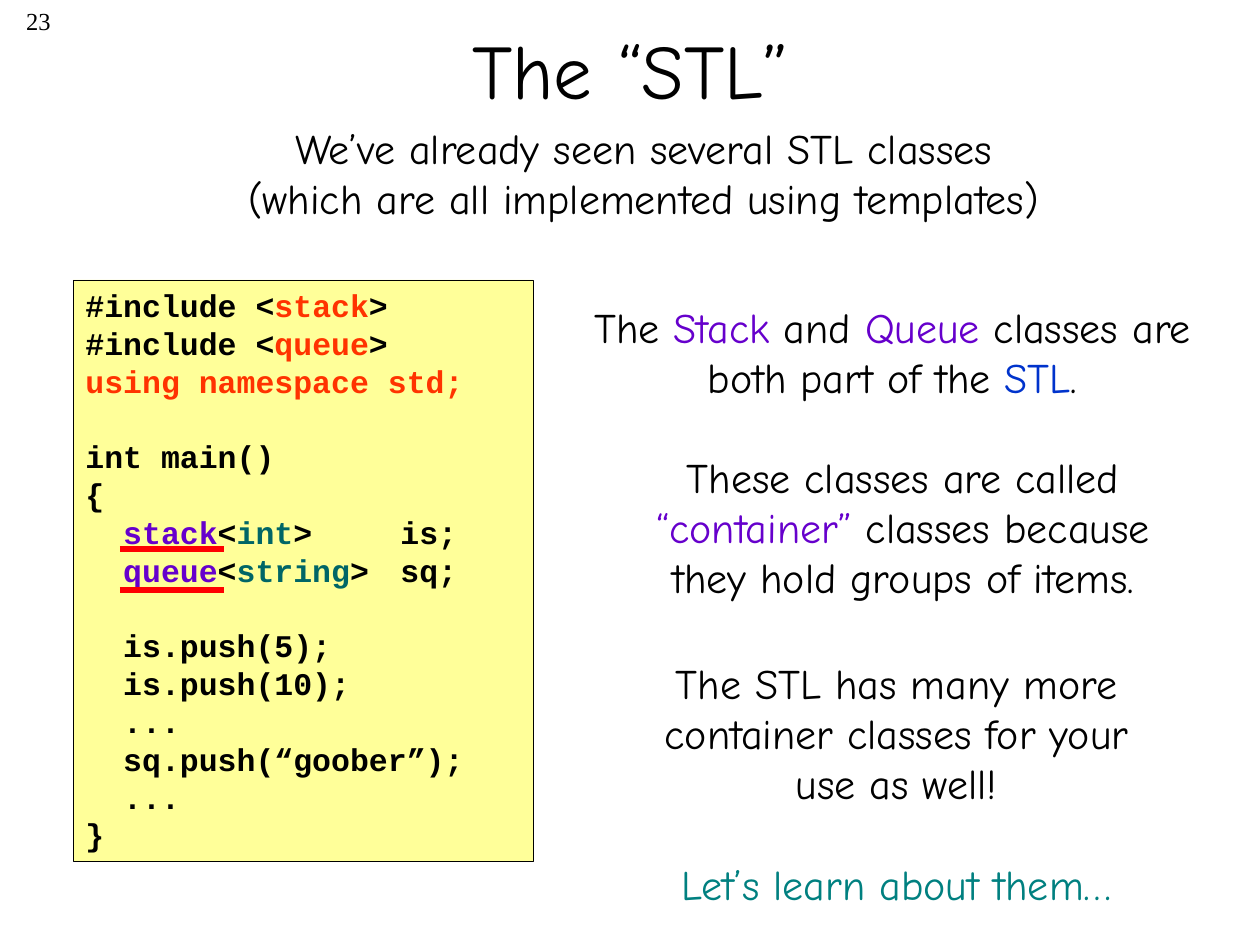
from pptx import Presentation
from pptx.dml.color import RGBColor
from pptx.enum.shapes import MSO_CONNECTOR, MSO_SHAPE
from pptx.enum.text import MSO_ANCHOR, PP_ALIGN
from pptx.oxml.ns import qn
from pptx.util import Emu, Pt
from lxml import etree

LEFT, CENTER, RIGHT = PP_ALIGN.LEFT, PP_ALIGN.CENTER, PP_ALIGN.RIGHT
TOP, MIDDLE = MSO_ANCHOR.TOP, MSO_ANCHOR.MIDDLE
RECTANGLE, STRAIGHT = MSO_SHAPE.RECTANGLE, MSO_CONNECTOR.STRAIGHT

BODY_FONT, CODE_FONT, NUMBER_FONT = "Comic Neue", "Courier New", "Times New Roman"
BLACK, RED, ORANGE, YELLOW = "000000", "FF0000", "FF3300", "FFFF99"
PURPLE, TEAL, GREEN, BLUE = "6600CC", "008080", "006666", "0033CC"
LINE_RATIO = 1.2

HEADING = [
    ["We’ve already seen several STL classes"],
    ["(which are all implemented using templates)"],
]
CODE = [
    ["#include <", ("stack", ORANGE), ">"],
    ["#include <", ("queue", ORANGE), ">"],
    [("using namespace std;", ORANGE)],
    ["int main()"],
    ["{"],
    ["  ", ("stack", PURPLE), "<", ("int", GREEN), ">\t\tis;"],
    ["  ", ("queue", PURPLE), "<", ("string", GREEN), ">\tsq;"],
    ["  is.push(5);"],
    ["  is.push(10);"],
    ["  ..."],
    ["  sq.push(“goober”);"],
    ["  ..."],
    ["}"],
]
CODE_GAPS = (3, 7)
MEMBERS = [["The ", ("Stack", PURPLE), " and ", ("Queue", PURPLE),
            " classes are both part of the ", ("STL", BLUE), "."]]
CONTAINERS = [["These classes are called ", ("“container”", PURPLE),
               " classes because they hold groups of items."]]
MORE = [
    ["The STL has many more container classes for your use as well!"],
    [("Let’s learn about them…", TEAL)],
]


def px(length):
    """Turn pixels into EMU."""
    return Emu(round(length * 914400 / 126))


def color(value):
    """Turn a hex string into a colour."""
    return RGBColor.from_string(value)


def place(shape, area):
    """Set the left, top, width and height of a shape."""
    shape.left, shape.top, shape.width, shape.height = map(px, area)


def write(shape, lines, size, font=BODY_FONT, align=CENTER, anchor=TOP,
          wrap=True, bold=False, gaps=()):
    """Fill a shape with lines of runs, one line of space before each gap."""
    frame = shape.text_frame
    frame.word_wrap = wrap
    frame.vertical_anchor = anchor
    pitch = Pt(size * LINE_RATIO)
    for index, line in enumerate(lines):
        para = frame.paragraphs[0] if index == 0 else frame.add_paragraph()
        para.alignment = align
        para.line_spacing = pitch
        para.space_before = pitch if index in gaps else Pt(0)
        for part in line:
            text, tint = (part, BLACK) if isinstance(part, str) else part
            span = para.add_run()
            span.text = text
            span.font.name = font
            span.font.size = Pt(size)
            span.font.bold = bold
            span.font.color.rgb = color(tint)


def add_text(page, area, lines, size=24, **style):
    """Add a text box."""
    box = page.shapes.add_textbox(*map(px, area))
    write(box, lines, size, **style)


def add_code(page, area):
    """Add the outlined code listing."""
    box = page.shapes.add_shape(RECTANGLE, *map(px, area))
    box.shadow.inherit = False
    box.fill.solid()
    box.fill.fore_color.rgb = color(YELLOW)
    box.line.color.rgb = color(BLACK)
    box.line.width = Pt(0.25)
    write(box, CODE, 18, font=CODE_FONT, align=LEFT, wrap=False, bold=True,
          gaps=CODE_GAPS)


def add_underline(page, left, right, y):
    """Add a red line under a class name."""
    line = page.shapes.add_connector(STRAIGHT, px(left), px(y), px(right), px(y))
    line.line.color.rgb = color(RED)
    line.line.width = Pt(3)
    etree.SubElement(line.element.spPr, qn("a:effectLst"))


def main():
    """Build the slide and save it."""
    deck = Presentation()
    deck.slide_width, deck.slide_height = px(1260), px(945)
    page = deck.slides.add_slide(deck.slide_layouts[5])
    title = page.shapes.title
    place(title, (95, -10, 1071, 158))
    write(title, [["The “STL”"]], 44, anchor=MIDDLE)
    add_text(page, (0, 0, 63, 63), [["23"]], 14, font=NUMBER_FONT, align=RIGHT)
    add_text(page, (205, 116, 877, 113), HEADING, wrap=False)
    add_code(page, (73, 280, 460, 581))
    add_text(page, (620, 651, 553, 265), MORE, gaps=(1,))
    add_text(page, (609, 445, 588, 164), CONTAINERS)
    for y in (549, 590):
        add_underline(page, 120, 224, y)
    add_text(page, (567, 295, 651, 115), MEMBERS)
    deck.save("out.pptx")


if __name__ == "__main__":
    main()
